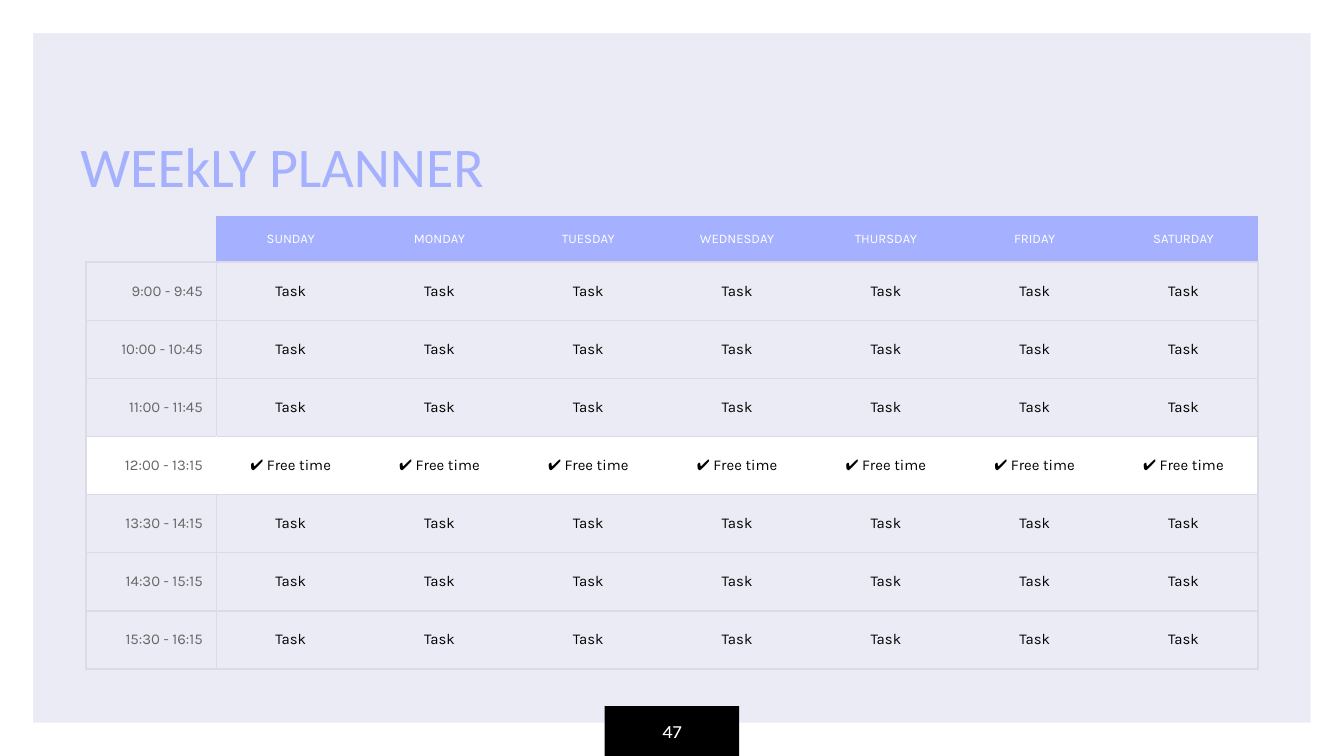
import pptx
import pptx.util
import pptx.dml.color
import pptx.enum.shapes
import pptx.enum.text
import pptx.oxml
import pptx.oxml.ns

TITLE = "WEEkLY PLANNER"
PAGE_NUMBER = "47"
DAYS = ["SUNDAY", "MONDAY", "TUESDAY", "WEDNESDAY", "THURSDAY", "FRIDAY", "SATURDAY"]
FREE = "✔ Free time"
SCHEDULE = [
    ("9:00 - 9:45", "Task"),
    ("10:00 - 10:45", "Task"),
    ("11:00 - 11:45", "Task"),
    ("12:00 - 13:15", FREE),
    ("13:30 - 14:15", "Task"),
    ("14:30 - 15:15", "Task"),
    ("15:30 - 16:15", "Task"),
]

THEME = {
    "background": "EAEBF4", "accent": "A5B0FE", "white": "FFFFFF", "black": "000000",
    "time": "666666", "grid": "DADBE6",
    "title_font": "Calibri", "body_font": "Karla",
    "title_size": 30, "page_size": 10, "day_size": 7, "body_size": 8,
    "grid_width": 0.75,
}
NO_GRID_STYLE = "{2D5ABB26-0587-4C30-8999-92F81FD0307C}"

# Inches
SLIDE_W = 10
SLIDE_H = SLIDE_W * 9 / 16
FRAME_SHARE = 0.044
INSET = 0.1
PLANNER_LEFT, PLANNER_TOP, PLANNER_W, PLANNER_H = 0.64, 1.61, 8.72, 3.37
TIME_COLUMN_W, DAY_ROW_H = 0.97, 0.34
DAY_W = (PLANNER_W - TIME_COLUMN_W) / len(DAYS)
SLOT_H = (PLANNER_H - DAY_ROW_H) / len(SCHEDULE)
BADGE_W, BADGE_H = 1, 0.37

ALIGN = pptx.enum.text.PP_ALIGN
ANCHOR = pptx.enum.text.MSO_ANCHOR
SHAPE = pptx.enum.shapes.MSO_SHAPE


def inches(*lengths):
    return [pptx.util.Inches(length) for length in lengths]


def paint(fill, color):
    fill.solid()
    fill.fore_color.rgb = pptx.dml.color.RGBColor.from_string(THEME[color])


def set_margins(holder):
    holder.margin_left = holder.margin_right = pptx.util.Inches(INSET)
    holder.margin_top = holder.margin_bottom = pptx.util.Inches(INSET)


def write(holder, text, size, color, align, font="body_font", anchor=ANCHOR.MIDDLE):
    """Put one run of text in a table cell or a text frame."""
    set_margins(holder)
    holder.vertical_anchor = anchor
    frame = getattr(holder, "text_frame", holder)
    frame.word_wrap = True
    paragraph = frame.paragraphs[0]
    paragraph.alignment = align
    run = paragraph.add_run()
    run.text = text
    run.font.name = THEME[font]
    run.font.size = pptx.util.Pt(THEME[size])
    run.font.color.rgb = pptx.dml.color.RGBColor.from_string(THEME[color])


def keep_empty(cell):
    """Give an empty cell a small type size, so that it does not stretch its row."""
    set_margins(cell)
    pptx.oxml.ns.qn("a:endParaRPr")
    size = THEME["day_size"] * 100
    cell.text_frame.paragraphs[0]._p.append(pptx.oxml.parse_xml(
        f'<a:endParaRPr {pptx.oxml.ns.nsdecls("a")} sz="{size}"/>'))


def set_borders(cell, sides):
    """Draw the sides given as {side letter: colour}; leave the others empty."""
    properties = cell._tc.get_or_add_tcPr()
    width = pptx.util.Pt(THEME["grid_width"])
    for side in "LRTB":
        if side in sides:
            line = f'<a:solidFill><a:srgbClr val="{THEME[sides[side]]}"/></a:solidFill>'
        else:
            line = "<a:noFill/>"
        properties.append(pptx.oxml.parse_xml(
            f'<a:ln{side} {pptx.oxml.ns.nsdecls("a")} w="{width}">{line}</a:ln{side}>'))


def cell_borders(row, column):
    if row == 0:
        return {"B": "grid"}
    sides = {"T": "grid", "B": "grid"}
    divider = "white" if SCHEDULE[row - 1][1] == FREE else "grid"
    if column == 0:
        sides.update(L="grid", R=divider)
    elif column == 1:
        sides["L"] = divider
    elif column == len(DAYS):
        sides["R"] = "grid"
    return sides


def add_block(slide, kind, box, color):
    block = slide.shapes.add_shape(kind, *inches(*box))
    block.shadow.inherit = False
    paint(block.fill, color)
    block.line.fill.background()
    return block


def add_planner(slide):
    table = slide.shapes.add_table(
        len(SCHEDULE) + 1, len(DAYS) + 1,
        *inches(PLANNER_LEFT, PLANNER_TOP, PLANNER_W, PLANNER_H)).table
    table.first_row = table.horz_banding = False
    table._tbl.tblPr.find(pptx.oxml.ns.qn("a:tableStyleId")).text = NO_GRID_STYLE

    for column, width in zip(table.columns, inches(TIME_COLUMN_W, *[DAY_W] * len(DAYS))):
        column.width = width
    for row, height in zip(table.rows, inches(DAY_ROW_H, *[SLOT_H] * len(SCHEDULE))):
        row.height = height

    lines = [["", *DAYS]] + [[time, *[entry] * len(DAYS)] for time, entry in SCHEDULE]
    for r, line in enumerate(lines):
        for c, text in enumerate(line):
            cell = table.cell(r, c)
            set_borders(cell, cell_borders(r, c))
            if r == 0 and c > 0:
                paint(cell.fill, "accent")
                write(cell, text, "day_size", "white", ALIGN.CENTER)
                continue
            if FREE in line:
                paint(cell.fill, "white")
            else:
                cell.fill.background()
            if c > 0:
                write(cell, text, "body_size", "black", ALIGN.CENTER)
            elif text:
                write(cell, text, "body_size", "time", ALIGN.RIGHT)
            else:
                keep_empty(cell)


def main():
    deck = pptx.Presentation()
    deck.slide_width, deck.slide_height = inches(SLIDE_W, SLIDE_H)
    slide = deck.slides.add_slide(deck.slide_layouts[6])
    paint(slide.background.fill, "background")

    frame = add_block(slide, SHAPE.FRAME, (0, 0, SLIDE_W, SLIDE_H), "white")
    frame.adjustments[0] = FRAME_SHARE

    badge_box = ((SLIDE_W - BADGE_W) / 2, SLIDE_H - BADGE_H, BADGE_W, BADGE_H)
    add_block(slide, SHAPE.RECTANGLE, badge_box, "black")

    heading = slide.shapes.add_textbox(*inches(0.5, 0.64, 5.62, 0.94))
    write(heading.text_frame, TITLE, "title_size", "accent", ALIGN.LEFT,
          font="title_font", anchor=ANCHOR.BOTTOM)

    page = slide.shapes.add_textbox(*inches(*badge_box))
    write(page.text_frame, PAGE_NUMBER, "page_size", "white", ALIGN.CENTER)

    add_planner(slide)
    deck.save("out.pptx")


if __name__ == "__main__":
    main()
